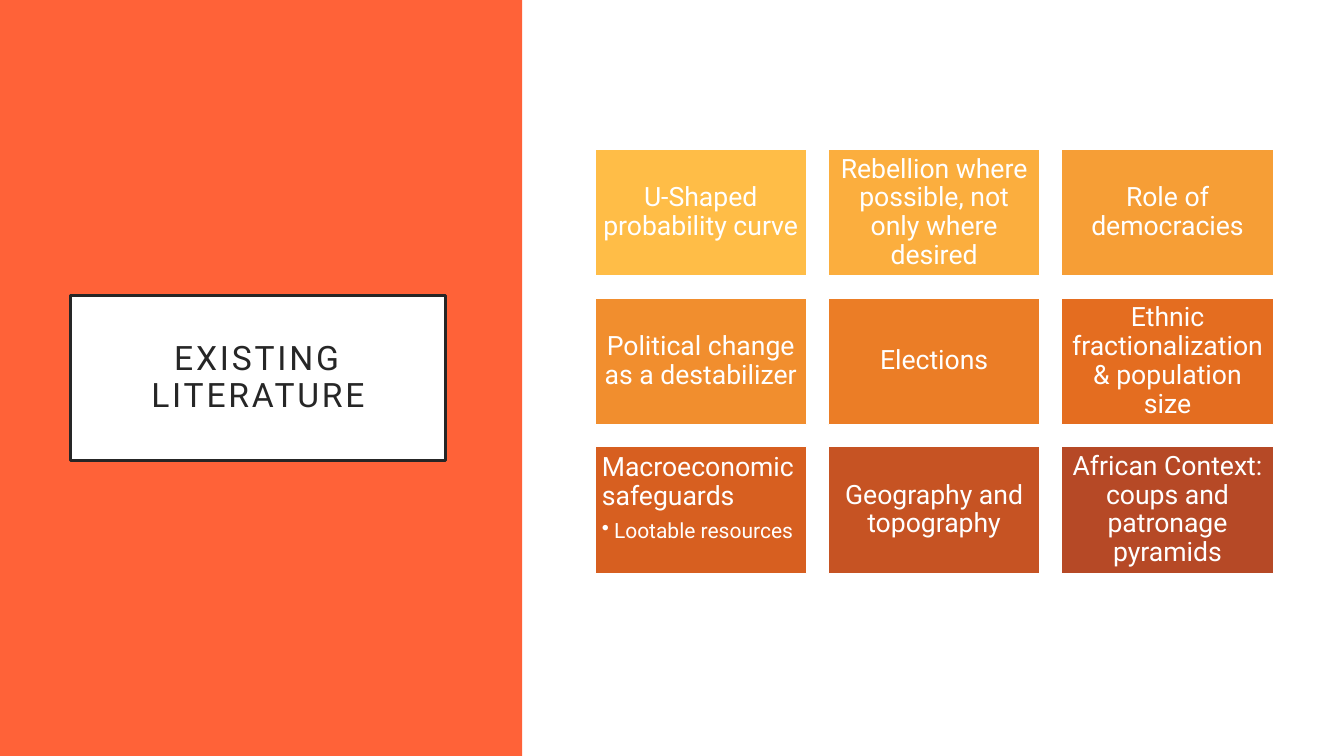
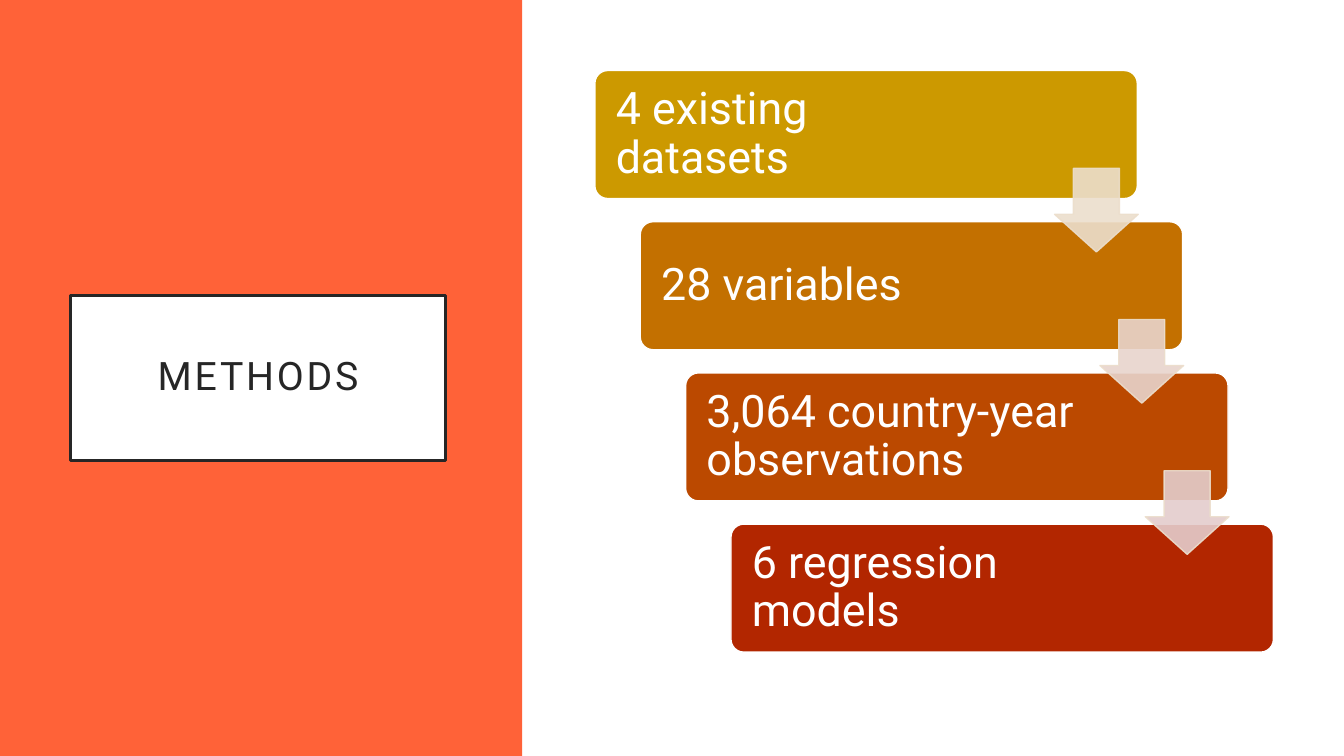
from dataclasses import dataclass

from lxml import etree
from pptx import Presentation
from pptx.dml.color import RGBColor
from pptx.enum.shapes import MSO_SHAPE
from pptx.enum.text import MSO_ANCHOR, MSO_AUTO_SIZE, PP_ALIGN
from pptx.oxml.ns import qn
from pptx.shapes.autoshape import Shape
from pptx.slide import Slide
from pptx.text.text import TextFrame
from pptx.util import Inches, Pt

RECTANGLE = MSO_SHAPE.RECTANGLE
ROUNDED = MSO_SHAPE.ROUNDED_RECTANGLE
DOWN_ARROW = MSO_SHAPE.DOWN_ARROW
TOP, MIDDLE = MSO_ANCHOR.TOP, MSO_ANCHOR.MIDDLE
LEFT, CENTER = PP_ALIGN.LEFT, PP_ALIGN.CENTER
NO_AUTOFIT = MSO_AUTO_SIZE.NONE

FONT = "Roboto"
COLORS = {"panel": "FF6238", "white": "FFFFFF", "ink": "262626", "arrow_line": "ECDECC"}
SLIDE_WIDTH, SLIDE_HEIGHT = 13.33, 7.5
CONTENT_LEFT, CONTENT_WIDTH = 5.9, 6.73
TITLE_ONLY_LAYOUT = 5


@dataclass(frozen=True)
class Box:
    left: float
    top: float
    width: float
    height: float


@dataclass(frozen=True)
class Tile:
    text: str
    color: str
    bullet: str = ""


@dataclass(frozen=True)
class Step:
    text: str
    color: str
    arrow_color: str = ""
    text_width: float = 3.77


PANEL = Box(0, 0, 5.18, SLIDE_HEIGHT)
TITLE = Box(0.7, 2.93, 3.72, 1.64)

TILE_GRID = Box(CONTENT_LEFT, 1.48, CONTENT_WIDTH, 4.21)
TILE_COLUMNS = TILE_ROWS = 3
TILE_WIDTH, TILE_HEIGHT = 2.1, 1.26
TILES = [
    Tile("U-Shaped probability curve", "FFBD47"),
    Tile("Rebellion where possible, not only where desired", "FBAE3E"),
    Tile("Role of democracies", "F69E36"),
    Tile("Political change as a destabilizer", "F18E2E"),
    Tile("Elections", "EB7D26"),
    Tile("Ethnic fractionalization & population size", "E46D20"),
    Tile("Macroeconomic safeguards", "D75F20", "Lootable resources"),
    Tile("Geography and topography", "C65323"),
    Tile("African Context: coups and patronage pyramids", "B64926"),
]

STEP_TOP, STEP_WIDTH, STEP_HEIGHT = 0.7, 5.38, 1.27
STEP_SHIFT, STEP_DROP = 0.45, 1.5
STEP_INSET = 0.17
ARROW_SHIFT, ARROW_DROP, ARROW_SIZE = 4.56, 0.97, 0.83
ARROW_OPACITY = 90
STEPS = [
    Step("4 existing datasets", "CC9900", "ECDECC", text_width=3.64),
    Step("28 variables", "C37000", "E8D4CC"),
    Step("3,064 country-year observations", "BB4900", "E4CDCC"),
    Step("6 regression models", "B22600"),
]


def add_box(slide: Slide, kind: MSO_SHAPE, box: Box, fill: str,
            line: str = "", line_width: float = 1) -> Shape:
    shape = slide.shapes.add_shape(
        kind, Inches(box.left), Inches(box.top), Inches(box.width), Inches(box.height))
    shape.shadow.inherit = False
    paint(shape, fill, line, line_width)
    return shape


def paint(shape: Shape, fill: str, line: str, line_width: float) -> None:
    shape.fill.solid()
    shape.fill.fore_color.rgb = RGBColor.from_string(fill)
    if line:
        shape.line.color.rgb = RGBColor.from_string(line)
        shape.line.width = Pt(line_width)
    else:
        shape.line.fill.background()


def set_opacity(shape: Shape, percent: int) -> None:
    """Apply the same opacity to the fill and the outline."""
    for color in shape._element.spPr.iter(qn("a:srgbClr")):
        etree.SubElement(color, qn("a:alpha")).set("val", str(percent * 1000))


def set_insets(frame: TextFrame, inset: float, right: float | None = None) -> None:
    frame.margin_left = frame.margin_top = frame.margin_bottom = Inches(inset)
    frame.margin_right = Inches(inset if right is None else right)


def write(frame: TextFrame, text: str, size: float, color: str = COLORS["white"],
          align: PP_ALIGN = CENTER, anchor: MSO_ANCHOR = MIDDLE) -> None:
    frame.word_wrap = True
    frame.auto_size = NO_AUTOFIT
    frame.vertical_anchor = anchor
    frame.text = text
    for para in frame.paragraphs:
        para.alignment = align
        para.line_spacing = 0.9
        para.space_before = Pt(0)
        for span in para.runs:
            span.font.name = FONT
            span.font.size = Pt(size)
            span.font.color.rgb = RGBColor.from_string(color)


def add_titled_slide(deck: Presentation, title_text: str, title_size: float) -> Slide:
    """Add a slide with the coloured side panel and the framed title."""
    slide = deck.slides.add_slide(deck.slide_layouts[TITLE_ONLY_LAYOUT])
    title = slide.shapes.title
    panel = add_box(slide, RECTANGLE, PANEL, COLORS["panel"])
    title._element.addprevious(panel._element)
    title.left, title.top = Inches(TITLE.left), Inches(TITLE.top)
    title.width, title.height = Inches(TITLE.width), Inches(TITLE.height)
    paint(title, COLORS["white"], COLORS["ink"], 2.5)
    set_insets(title.text_frame, 0.2)
    write(title.text_frame, title_text, title_size, COLORS["ink"])
    for span in title.text_frame.paragraphs[0].runs:
        span.font._element.set("spc", "200")
    return slide


def format_bullet(frame: TextFrame) -> None:
    """Turn the second paragraph into a smaller bulleted line."""
    heading, item = frame.paragraphs
    heading.space_after = Pt(7)
    item.runs[0].font.size = Pt(15)
    properties = item._p.get_or_add_pPr()
    indent = Inches(0.12)
    properties.set("marL", str(indent))
    properties.set("indent", str(-indent))
    etree.SubElement(properties, qn("a:buChar")).set("char", "•")


def add_tile(slide: Slide, tile: Tile, box: Box) -> None:
    frame = add_box(slide, RECTANGLE, box, tile.color, COLORS["white"]).text_frame
    set_insets(frame, 0.07)
    if tile.bullet:
        write(frame, f"{tile.text}\n{tile.bullet}", 19, align=LEFT, anchor=TOP)
        format_bullet(frame)
    else:
        write(frame, tile.text, 19)


def add_tile_grid(slide: Slide) -> None:
    column_pitch = (TILE_GRID.width - TILE_WIDTH) / (TILE_COLUMNS - 1)
    row_pitch = (TILE_GRID.height - TILE_HEIGHT) / (TILE_ROWS - 1)
    for index, tile in enumerate(TILES):
        row, column = divmod(index, TILE_COLUMNS)
        add_tile(slide, tile, Box(TILE_GRID.left + column * column_pitch,
                                  TILE_GRID.top + row * row_pitch,
                                  TILE_WIDTH, TILE_HEIGHT))


def add_step(slide: Slide, step: Step, box: Box) -> None:
    shape = add_box(slide, ROUNDED, box, step.color, COLORS["white"])
    shape.adjustments[0] = 0.1
    set_insets(shape.text_frame, STEP_INSET, box.width - STEP_INSET - step.text_width)
    write(shape.text_frame, step.text, 32, align=LEFT)


def add_arrow(slide: Slide, color: str, box: Box) -> None:
    arrow = add_box(slide, DOWN_ARROW, box, color, COLORS["arrow_line"])
    arrow.adjustments[0] = 0.55
    arrow.adjustments[1] = 0.45
    set_opacity(arrow, ARROW_OPACITY)


def add_staircase(slide: Slide) -> None:
    boxes = [Box(CONTENT_LEFT + index * STEP_SHIFT, STEP_TOP + index * STEP_DROP,
                 STEP_WIDTH, STEP_HEIGHT) for index in range(len(STEPS))]
    for step, box in zip(STEPS, boxes):
        add_step(slide, step, box)
    for step, box in zip(STEPS, boxes):
        if step.arrow_color:
            add_arrow(slide, step.arrow_color,
                      Box(box.left + ARROW_SHIFT, box.top + ARROW_DROP,
                          ARROW_SIZE, ARROW_SIZE))


def main() -> None:
    deck = Presentation()
    deck.slide_width, deck.slide_height = Inches(SLIDE_WIDTH), Inches(SLIDE_HEIGHT)
    add_tile_grid(add_titled_slide(deck, "EXISTING LITERATURE", 24))
    add_staircase(add_titled_slide(deck, "METHODS", 28))
    deck.save("out.pptx")


if __name__ == "__main__":
    main()
